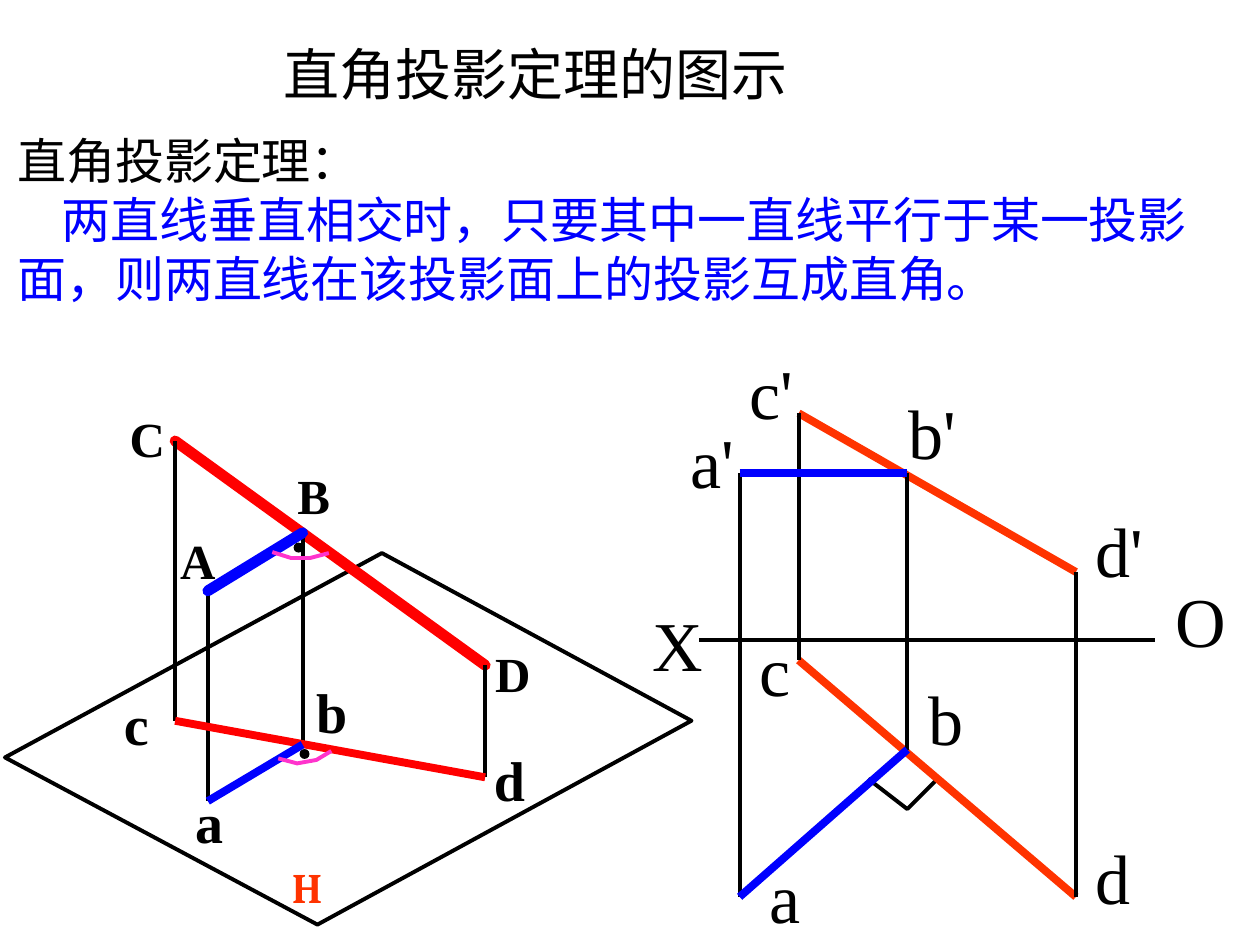
from pptx import Presentation
from pptx.dml.color import RGBColor
from pptx.enum.shapes import MSO_CONNECTOR as Conn, MSO_SHAPE as Shape
from pptx.enum.text import MSO_ANCHOR as Anchor, PP_ALIGN as Align
from pptx.oxml.ns import qn
from pptx.util import Cm, Pt
from lxml.etree import SubElement

BLACK, RED, BLUE, ORANGE, PINK = "000000", "FF0000", "0000FF", "FF3300", "FF33CC"
SERIF, HAN = "Times New Roman", "Noto Sans CJK SC"
THIN, BOLD, THICK = 2.25, 4.5, 6.25


def color(code):
    return RGBColor.from_string(code)


def write(frame, text, size=28, font=SERIF, ink=BLACK, bold=False,
          align=Align.LEFT, anchor=Anchor.TOP, wrap=False, indent=0, more=False):
    """Put one paragraph in a frame; more=True adds it after the others."""
    frame.word_wrap = wrap
    frame.vertical_anchor = anchor
    para = frame.add_paragraph() if more else frame.paragraphs[0]
    para.alignment = align
    if indent:
        para._p.get_or_add_pPr().set("indent", str(Cm(indent)))
    run = para.add_run()
    run.text = text
    run.font.name = font
    run.font.size = Pt(size)
    run.font.bold = bold
    run.font.color.rgb = color(ink)
    SubElement(run._r.get_or_add_rPr(), qn("a:ea"), typeface=font)


def place(shape, x, y, w, h):
    shape.left, shape.top, shape.width, shape.height = Cm(x), Cm(y), Cm(w), Cm(h)


def label(slide, text, x, y, w, h, **look):
    box = slide.shapes.add_textbox(Cm(x), Cm(y), Cm(w), Cm(h))
    write(box.text_frame, text, **look)


def line(slide, box, start, end, ink=BLACK, width=THIN):
    x, y = box
    link = slide.shapes.add_connector(
        Conn.STRAIGHT, Cm(x + start[0]), Cm(y + start[1]), Cm(x + end[0]), Cm(y + end[1]))
    link.line.color.rgb = color(ink)
    link.line.width = Pt(width)
    if width == THICK:
        link.line._get_or_add_ln().set("cap", "rnd")
    SubElement(link._element.spPr, qn("a:effectLst"))


def trace(slide, box, points, ink=BLACK, close=False):
    x, y = box
    spots = [(Cm(x + px), Cm(y + py)) for px, py in points]
    pen = slide.shapes.build_freeform(*spots[0])
    pen.add_line_segments(spots[1:], close=close)
    shape = pen.convert_to_shape()
    shape.shadow.inherit = False
    shape.fill.background()
    shape.line.color.rgb = color(ink)
    shape.line.width = Pt(THIN)


def dot(slide, box, px, py, size=0.2):
    shape = slide.shapes.add_shape(
        Shape.OVAL, Cm(box[0] + px - size / 2), Cm(box[1] + py - size / 2), Cm(size), Cm(size))
    shape.shadow.inherit = False
    shape.fill.solid()
    shape.fill.fore_color.rgb = color(BLACK)
    shape.line.fill.background()


def heading(slide):
    title = slide.shapes.title
    place(title, -0.41, -0.2, 22.43, 3.33)
    write(title.text_frame, "直角投影定理的图示", size=32, font=HAN,
          align=Align.CENTER, anchor=Anchor.MIDDLE, wrap=True)


def theorem(slide, x, y):
    box = slide.shapes.add_textbox(Cm(x), Cm(y), Cm(24.97), Cm(3.81))
    write(box.text_frame, "直角投影定理：", font=HAN, wrap=True)
    write(box.text_frame, "两直线垂直相交时，只要其中一直线平行于某一投影面，"
          "则两直线在该投影面上的投影互成直角。",
          font=HAN, ink=BLUE, wrap=True, indent=0.89, more=True)


def space(slide, box):
    """Oblique view: two lines in space above the plane H."""
    spot = {"A": (4.19, 3.91), "B": (6.1, 2.74), "C": (3.53, 0.89), "D": (9.78, 5.41),
            "a": (4.19, 8.15), "b": (6.1, 7.01), "c": (3.53, 6.53), "d": (9.78, 7.67)}
    # Plane H
    trace(slide, box, [(0.1, 7.27), (7.7, 3.15), (13.94, 6.53), (6.4, 10.64)], close=True)
    # Projectors, then the lines and their projections
    line(slide, box, spot["C"], spot["D"], RED, THICK)
    for name in "ABCD":
        line(slide, box, spot[name], spot[name.lower()])
    line(slide, box, spot["c"], spot["d"], RED, BOLD)
    line(slide, box, spot["a"], spot["b"], BLUE, BOLD)
    line(slide, box, spot["A"], spot["B"], BLUE, THICK)
    # Right angle marks
    dot(slide, box, 6.02, 3.04)
    dot(slide, box, 6.14, 7.2)
    trace(slide, box, [(5.49, 3.13), (5.87, 3.25), (6.25, 3.25), (6.63, 3.15)], PINK)
    trace(slide, box, [(5.61, 7.29), (5.99, 7.39), (6.38, 7.32), (6.68, 7.14)], PINK)
    # Labels
    for text, x, y, w in [("C", 2.36, 0.1, 1.22), ("D", 9.73, 4.85, 1.22),
                          ("A", 3.38, 2.57, 1.22), ("B", 5.74, 1.25, 1.17),
                          ("c", 2.24, 5.77, 1.02), ("d", 9.7, 6.91, 1.14),
                          ("a", 3.68, 7.75, 1.07), ("b", 6.12, 5.54, 1.14),
                          ("H", 5.61, 9.25, 1.17)]:
        if text == "H":
            size, h, font, ink = 24, 1.27, "Cambria", ORANGE
        else:
            size, h = (28, 1.45) if text.isupper() else (32, 1.6)
            font, ink = SERIF, BLACK
        label(slide, text, box[0] + x, box[1] + y, w, h, size=size, font=font, ink=ink,
              bold=True, align=Align.CENTER, anchor=Anchor.MIDDLE)


def views(slide, box):
    """Two-view drawing: front view above the axis, top view below."""
    spot = {"a'": (1.91, 3.53), "b'": (5.29, 3.53), "c'": (3.1, 2.33), "d'": (8.69, 5.53),
            "a": (1.91, 12.08), "b": (5.29, 9.11), "c": (3.1, 7.31), "d": (8.69, 12.08)}
    # Right angle mark and axis
    trace(slide, box, [(4.5, 9.7), (5.29, 10.31), (5.9, 9.7)])
    line(slide, box, (1.1, 6.9), (10.29, 6.9))
    # Lines in both views, with projectors between them
    for mark in ("'", ""):
        line(slide, box, spot["c" + mark], spot["d" + mark], ORANGE, BOLD)
    for name in "abcd":
        line(slide, box, spot[name + "'"], spot[name])
    for mark in ("'", ""):
        line(slide, box, spot["a" + mark], spot["b" + mark], BLUE, BOLD)
    # Labels
    for text, x, y, w in [("c'", 1.86, 0.93, 1.4), ("b'", 5.06, 1.72, 1.47),
                          ("d'", 8.84, 4.11, 1.47), ("a'", 0.67, 2.31, 1.4),
                          ("b", 5.47, 7.49, 1.22), ("d", 8.84, 10.69, 1.22),
                          ("a", 2.27, 11.09, 1.14), ("c", 2.06, 6.5, 1.14),
                          ("O", 10.44, 5.51, 1.52), ("X", -0.1, 6.01, 1.52)]:
        label(slide, text, box[0] + x, box[1] + y, w, 1.96, size=40)


def main():
    deck = Presentation()
    deck.slide_width, deck.slide_height = Cm(25.4), Cm(19.05)
    slide = deck.slides.add_slide(deck.slide_layouts[5])
    heading(slide)
    space(slide, (0, 8))
    views(slide, (13, 6))
    theorem(slide, 0.1, 2.51)
    deck.save("out.pptx")


if __name__ == "__main__":
    main()
